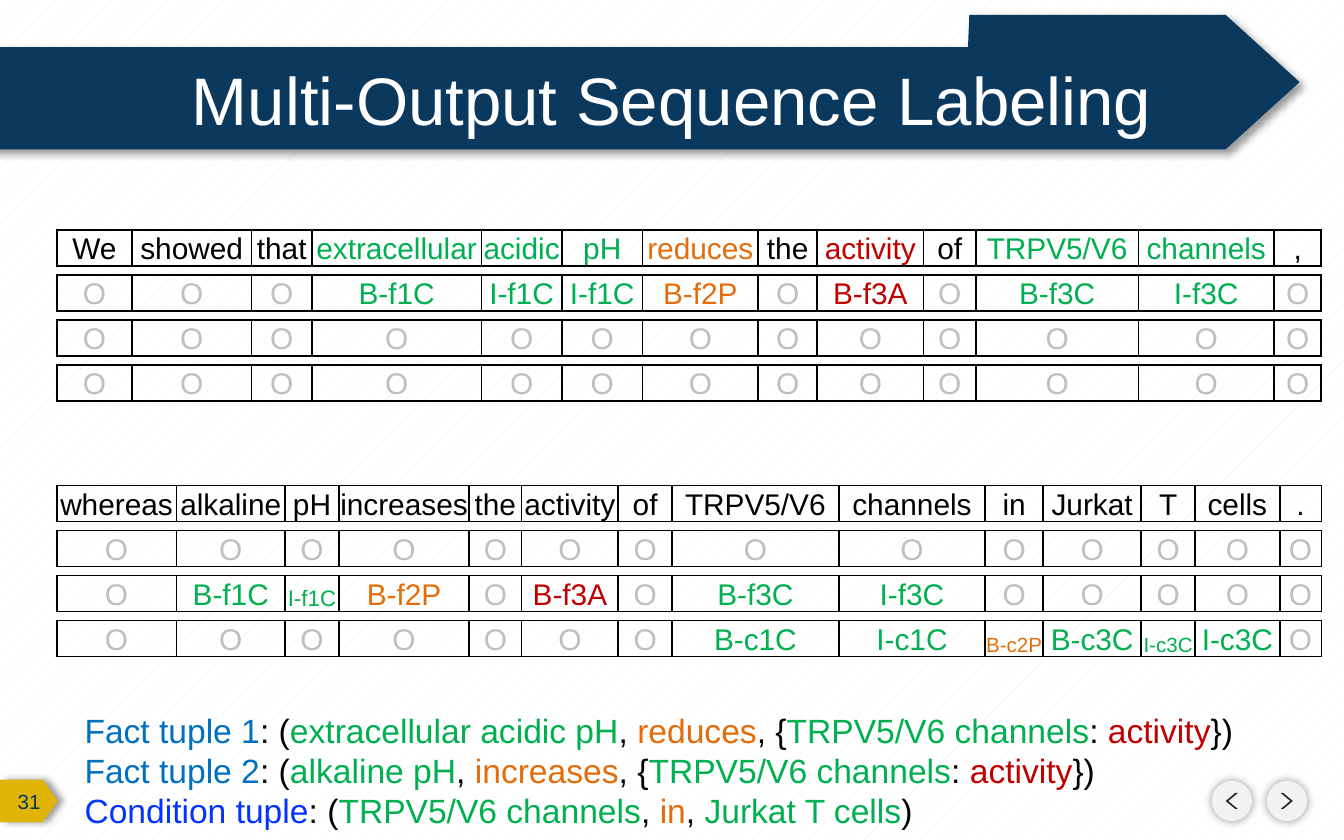
from lxml.etree import SubElement
from pptx import Presentation
from pptx.dml.color import RGBColor
from pptx.enum.dml import MSO_PATTERN
from pptx.enum.shapes import MSO_SHAPE
from pptx.enum.text import MSO_ANCHOR, PP_ALIGN
from pptx.oxml import parse_xml
from pptx.oxml.ns import nsdecls, qn
from pptx.util import Pt

WHITE = RGBColor(0xFF, 0xFF, 0xFF)
LIGHT = RGBColor(0xF2, 0xF2, 0xF2)
GRAY = RGBColor(0xBF, 0xBF, 0xBF)
DARK = RGBColor(0x26, 0x26, 0x26)
BLACK = RGBColor(0x00, 0x00, 0x00)
NAVY = RGBColor(0x0B, 0x38, 0x5D)
GOLD = RGBColor(0xDE, 0xB4, 0x06)
BLUE = RGBColor(0x00, 0x70, 0xC0)
VIVID_BLUE = RGBColor(0x04, 0x32, 0xFF)
GREEN = RGBColor(0x00, 0xB0, 0x50)
ORANGE = RGBColor(0xE4, 0x6C, 0x0A)
RED = RGBColor(0xC0, 0x00, 0x00)

TAG_COLORS = {"C": GREEN, "P": ORANGE, "A": RED}
NARROW_SIZES = {"I-f1C": 12, "B-c2P": 11, "I-c3C": 11}
NARROW_WIDTH = 32
ROW_HEIGHT = 19.4
ROW_PITCH = 24.1

FIRST_WIDTHS = [40.3, 64.1, 32.4, 90.7, 43.2, 43.2, 61.9, 31.7, 56.9, 28.1, 87.1, 72.7, 25.2]
FIRST_WORDS = "We showed that extracellular acidic pH reduces the activity of TRPV5/V6 channels ,"
FIRST_TAGS = [
    "O O O B-f1C I-f1C I-f1C B-f2P O B-f3A O B-f3C I-f3C O",
    "O O O O O O O O O O O O O",
    "O O O O O O O O O O O O O",
]
SECOND_WIDTHS = [64.1, 58.3, 28.8, 69.8, 28.1, 51.8, 28.8, 89.3, 78.5, 31, 52.6, 28.8, 45.4, 22.3]
SECOND_WORDS = "whereas alkaline pH increases the activity of TRPV5/V6 channels in Jurkat T cells ."
SECOND_TAGS = [
    "O O O O O O O O O O O O O O",
    "O B-f1C I-f1C B-f2P O B-f3A O B-f3C I-f3C O O O O O",
    "O O O O O O O B-c1C I-c1C B-c2P B-c3C I-c3C I-c3C O",
]


def add_text(paragraph, text, *, size, color=BLACK, align=PP_ALIGN.LEFT):
    paragraph.alignment = align
    run = paragraph.add_run()
    run.text = text
    run.font.name = "Arial"
    run.font.size = Pt(size)
    run.font.color.rgb = color


def add_box(slide, left, top, width, height, anchor=MSO_ANCHOR.MIDDLE):
    box = slide.shapes.add_textbox(Pt(left), Pt(top), Pt(width), Pt(height))
    box.text_frame.word_wrap = True
    box.text_frame.vertical_anchor = anchor
    return box.text_frame


def paint(shape, color, shadow=None):
    shape.fill.solid()
    shape.fill.fore_color.rgb = color
    shape.line.fill.background()
    shape.shadow.inherit = False
    if shadow:
        blur, distance, angle = shadow
        effects = shape._element.spPr.find(qn("a:effectLst"))
        outer = SubElement(effects, qn("a:outerShdw"), blurRad=str(Pt(blur)),
                           dist=str(Pt(distance)), dir=str(angle * 60000), rotWithShape="0")
        tint = SubElement(outer, qn("a:srgbClr"), val=str(BLACK))
        SubElement(tint, qn("a:alpha"), val="40000")


def add_preset(slide, kind, left, top, width, height, color, shadow=None):
    shape = slide.shapes.add_shape(kind, Pt(left), Pt(top), Pt(width), Pt(height))
    paint(shape, color, shadow)
    return shape


def add_banner(slide, left, top, width, height):
    shoulder, step, tip = height * 0.24, width - 177.6, width - 39.6
    outline = [(step, shoulder), (step + 0.7, 0), (tip, 0), (width, height / 2),
               (tip, height), (0, height)]
    builder = slide.shapes.build_freeform(Pt(left), Pt(top + shoulder))
    builder.add_line_segments([(Pt(left + x), Pt(top + y)) for x, y in outline], close=True)
    paint(builder.convert_to_shape(), NAVY, (4, 3, 45))
    title = add_box(slide, left + 67, top + 19.4, 597.6, 50.4)
    add_text(title.paragraphs[0], "Multi-Output Sequence Labeling", size=36, color=WHITE,
             align=PP_ALIGN.CENTER)


def add_navigation(slide, left, top, size, pitch):
    for index, rotation in enumerate((180, 0)):
        x = left + index * pitch
        add_preset(slide, MSO_SHAPE.OVAL, x, top, size, size, LIGHT, (5, 0, 0))
        chevron = add_preset(slide, MSO_SHAPE.CHEVRON, x + 7.4, top + 6.5, 6.5, 8.6, DARK)
        chevron.adjustments[0] = 0.79
        chevron.rotation = rotation


def add_page_number(slide, left, top, width, height):
    marker = add_preset(slide, MSO_SHAPE.PENTAGON, left, top, width, height, GOLD, (4, 3, 0))
    marker.adjustments[0] = 0.36
    frame = add_box(slide, left - 7.2, top, 36, height)
    add_text(frame.paragraphs[0], "31", size=11, color=NAVY, align=PP_ALIGN.RIGHT)


def add_strip(slide, left, top, widths, entries):
    frame = slide.shapes.add_table(1, len(widths), Pt(left), Pt(top), Pt(sum(widths)), Pt(ROW_HEIGHT))
    table = frame.table
    table.first_row = table.horz_banding = False
    table.rows[0].height = Pt(ROW_HEIGHT)
    for index, (width, (text, color, size)) in enumerate(zip(widths, entries)):
        table.columns[index].width = Pt(width)
        cell = table.cell(0, index)
        cell.margin_left = cell.margin_right = cell.margin_top = cell.margin_bottom = 0
        cell.vertical_anchor = MSO_ANCHOR.BOTTOM
        for side in "LRTB":
            cell._tc.get_or_add_tcPr().append(parse_xml(
                f'<a:ln{side} {nsdecls("a")} w="{Pt(1)}"><a:solidFill>'
                f'<a:srgbClr val="{BLACK}"/></a:solidFill></a:ln{side}>'))
        cell.fill.background()
        add_text(cell.text_frame.paragraphs[0], text, size=size, color=color, align=PP_ALIGN.CENTER)


def add_labeled_sentence(slide, left, top, widths, words, tag_rows, highlight_row=None):
    tags = [row.split() for row in tag_rows]
    word_colors = [BLACK] * len(widths)
    if highlight_row is not None:
        word_colors = [TAG_COLORS.get(tag[-1], BLACK) for tag in tags[highlight_row]]
    strips = [[(word, color, 16) for word, color in zip(words.split(), word_colors)]]
    for row in tags:
        strips.append([
            (tag, TAG_COLORS.get(tag[-1], GRAY),
             NARROW_SIZES.get(tag, 16) if width < NARROW_WIDTH else 16)
            for tag, width in zip(row, widths)
        ])
    for index, entries in enumerate(strips):
        add_strip(slide, left, top + index * ROW_PITCH, widths, entries)


def fact_tuple(name, concept, relation):
    return [(name, BLUE), (": (", BLACK), (concept, GREEN), (", ", BLACK), (relation, ORANGE),
            (", {", BLACK), ("TRPV5/V6 channels", GREEN), (": ", BLACK), ("activity", RED),
            ("})", BLACK)]


def add_tuples(slide, left, top, width, height):
    frame = add_box(slide, left, top, width, height, MSO_ANCHOR.TOP)
    lines = [
        fact_tuple("Fact tuple 1", "extracellular acidic pH", "reduces"),
        fact_tuple("Fact tuple 2", "alkaline pH", "increases"),
        [("Condition tuple", VIVID_BLUE), (": (", BLACK), ("TRPV5/V6 channels", GREEN),
         (", ", BLACK), ("in", ORANGE), (", ", BLACK), ("Jurkat T cells", GREEN), (")", BLACK)],
    ]
    for index, line in enumerate(lines):
        paragraph = frame.add_paragraph() if index else frame.paragraphs[0]
        for text, color in line:
            add_text(paragraph, text, size=18, color=color)


def main():
    presentation = Presentation()
    presentation.slide_width = Pt(720)
    presentation.slide_height = Pt(450)
    slide = presentation.slides.add_slide(presentation.slide_layouts[6])
    background = slide.background.fill
    background.patterned()
    background.pattern = MSO_PATTERN.PERCENT_5
    background.fore_color.rgb = LIGHT
    background.back_color.rgb = WHITE

    add_navigation(slide, 649.2, 418.3, 21.6, 29.5)
    add_page_number(slide, 0, 417.6, 31, 23)
    add_banner(slide, -5.8, 8, 702, 72)
    add_labeled_sentence(slide, 30.4, 123.1, FIRST_WIDTHS, FIRST_WORDS, FIRST_TAGS, highlight_row=0)
    add_labeled_sentence(slide, 30.4, 260, SECOND_WIDTHS, SECOND_WORDS, SECOND_TAGS)
    add_tuples(slide, 38.2, 376.6, 670.3, 72.7)
    presentation.save("out.pptx")


if __name__ == "__main__":
    main()
